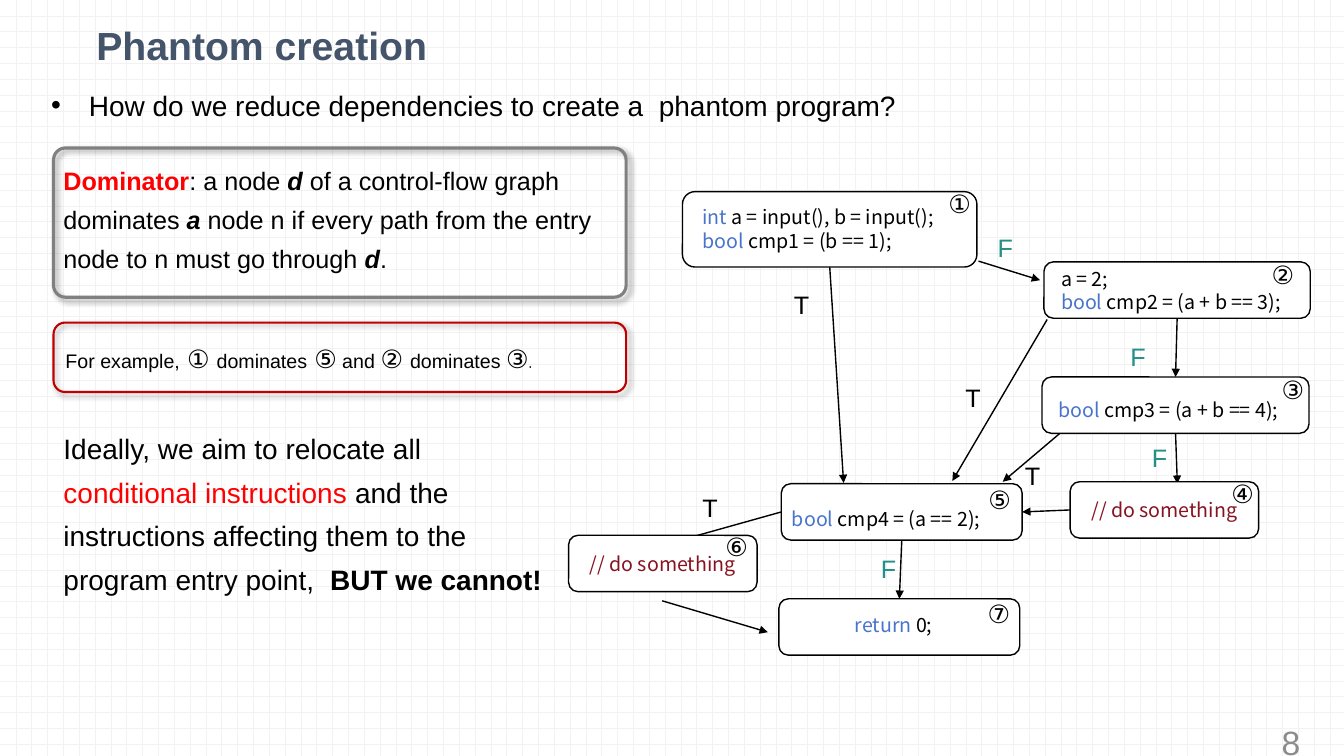
import pptx
import pptx.dml.color
import pptx.enum.dml
import pptx.enum.shapes
import pptx.enum.text
import pptx.oxml
import pptx.oxml.ns
import pptx.util

Cm, Pt = pptx.util.Cm, pptx.util.Pt
ALIGN = pptx.enum.text.PP_ALIGN
NAMESPACE = pptx.oxml.ns.nsdecls("a")
COLORS = {
    "black": "000000", "white": "FFFFFF", "grid": "F2F2F2", "title": "44546A",
    "number": "8C8C8C", "frame": "808080", "crimson": "C00000", "red": "FF0000",
    "keyword": "4874CB", "comment": "851321", "false": "249087",
}
SIDES = {"top": 0, "left": 1, "bottom": 2, "right": 3}
CODE = "Noto Sans CJK SC"


def color(name):
    return pptx.dml.color.RGBColor.from_string(COLORS[name])


class SlideBuilder:
    def __init__(self, page):
        self.page = page
        self.nodes = {}

    def background(self):
        fill = self.page.background.fill
        fill.patterned()
        fill.pattern = pptx.enum.dml.MSO_PATTERN.DOTTED_GRID
        fill.fore_color.rgb = color("grid")
        fill.back_color.rgb = color("white")

    def set_lines(self, frame, lines, size, font="Arial", align=ALIGN.LEFT, spaced=False):
        """Each line is a list of (text, style) spans."""
        for index, spans in enumerate(lines):
            para = frame.paragraphs[0] if index == 0 else frame.add_paragraph()
            para.alignment = align
            if spaced:
                para.line_spacing = 1.3
                para.space_before = Pt(6)
            for text, style in spans:
                span = para.add_run()
                span.text = text
                span.font.name = style.get("font", font)
                span.font.size = Pt(style.get("size", size))
                span.font.bold = style.get("bold", False)
                span.font.italic = style.get("italic", False)
                span.font.color.rgb = color(style.get("color", "black"))

    def text(self, place, lines, size, grow=True, **style):
        box = self.page.shapes.add_textbox(*map(Cm, place))
        frame = box.text_frame
        frame.word_wrap = True
        if grow:
            frame.auto_size = pptx.enum.text.MSO_AUTO_SIZE.SHAPE_TO_FIT_TEXT
        self.set_lines(frame, lines, size, **style)
        return box

    def bullet(self, box, indent):
        properties = box.element.find(".//" + pptx.oxml.ns.qn("a:pPr"))
        properties.set("marL", str(Cm(indent)))
        properties.set("indent", str(-Cm(indent)))
        properties.append(pptx.oxml.parse_xml(f'<a:buFont {NAMESPACE} typeface="Arial"/>'))
        properties.append(pptx.oxml.parse_xml(f'<a:buChar {NAMESPACE} char="•"/>'))

    def rounded(self, place, line, width, fill=None, corner=0.1667):
        box = self.page.shapes.add_shape(
            pptx.enum.shapes.MSO_SHAPE.ROUNDED_RECTANGLE, *map(Cm, place))
        box.adjustments[0] = corner
        box.shadow.inherit = False
        box.line.color.rgb = color(line)
        box.line.width = Pt(width)
        if fill:
            box.fill.solid()
            box.fill.fore_color.rgb = color(fill)
        else:
            box.fill.background()
        return box

    def shadow(self, box):
        effects = box.element.spPr.find(pptx.oxml.ns.qn("a:effectLst"))
        effects.append(pptx.oxml.parse_xml(
            f'<a:outerShdw {NAMESPACE} blurRad="{Pt(4)}" dist="{Pt(3)}" dir="2700000" '
            f'algn="tl" rotWithShape="0"><a:srgbClr val="{COLORS["black"]}">'
            '<a:alpha val="40000"/></a:srgbClr></a:outerShdw>'))

    def node(self, number, place, lines, text_place, badge, align):
        box = self.rounded(place, "black", 1, "white")
        self.nodes[number] = box
        if text_place:
            self.text(text_place, lines, 14, font=CODE, align=align)
        else:
            box.text_frame.vertical_anchor = pptx.enum.text.MSO_ANCHOR.MIDDLE
            self.set_lines(box.text_frame, lines, 14, CODE, align)
        self.text((*badge, 1.09, 1.02), [[("①②③④⑤⑥⑦"[number - 1], {})]], 18)

    def arrow(self, start, end):
        """An end is an (x, y) point or a (node number, side) pair."""
        joined = [point[1] in SIDES for point in (start, end)]
        begin, finish = [(0, 0) if fixed else point
                         for fixed, point in zip(joined, (start, end))]
        line = self.page.shapes.add_connector(
            pptx.enum.shapes.MSO_CONNECTOR.STRAIGHT, *map(Cm, (*begin, *finish)))
        if joined[0]:
            line.begin_connect(self.nodes[start[0]], SIDES[start[1]])
        if joined[1]:
            line.end_connect(self.nodes[end[0]], SIDES[end[1]])
        line.line.color.rgb = color("black")
        line.line.width = Pt(1)
        properties = line.element.spPr
        properties.find(pptx.oxml.ns.qn("a:ln")).append(
            pptx.oxml.parse_xml(f'<a:tailEnd {NAMESPACE} type="triangle"/>'))
        properties.append(pptx.oxml.parse_xml(f"<a:effectLst {NAMESPACE}/>"))
        # Arrows lie behind the nodes
        self.nodes[1].element.addprevious(line.element)


KEYWORD, COMMENT = {"color": "keyword"}, {"color": "comment"}
BOLD, TERM, LARGE = {"bold": True}, {"bold": True, "italic": True}, {"size": 18}
DO_SOMETHING = [[("// do something", COMMENT)]]

# number, box, code lines, text box (None: inside the node), badge corner, alignment
NODES = [
    (1, (17.2, 4.83, 7.42, 1.9),
     [[("int", KEYWORD), (" a = input(), b = input();", {})],
      [("bool", KEYWORD), (" cmp1 = (b == 1);", {})]],
     (17.45, 5.05, 6.91, 1.45), (23.65, 4.62), ALIGN.LEFT),
    (2, (26.31, 6.6, 6.71, 1.42),
     [[("a = 2;", {})], [("bool", KEYWORD), (" cmp2 = (a + b == 3);", {})]],
     (26.49, 6.6, 6.53, 1.02), (31.8, 6.4), ALIGN.LEFT),
    (3, (26.26, 9.5, 6.73, 1.42), [[("bool ", KEYWORD), ("cmp3 = (a + b == 4);", {})]],
     (26.42, 9.91, 7.21, 0.86), (32.05, 9.3), ALIGN.LEFT),
    (4, (26.97, 12.14, 4.75, 1.42), DO_SOMETHING, None, (30.78, 11.94), ALIGN.CENTER),
    (5, (19.69, 12.19, 6.07, 1.42), [[("bool", KEYWORD), (" cmp4 = (a == 2);", {})]],
     (19.71, 12.65, 5.66, 0.86), (24.66, 12.07), ALIGN.LEFT),
    (7, (19.63, 15.09, 6.07, 1.42), [[("return ", KEYWORD), ("0;", {})]],
     (19.69, 15.32, 5.66, 0.86), (24.64, 14.96), ALIGN.CENTER),
    (6, (14.33, 13.49, 4.75, 1.42), DO_SOMETHING, None, (18.03, 13.26), ALIGN.CENTER),
]
ARROWS = [
    ((1, "bottom"), (21.26, 12.17)),
    ((5, "bottom"), (7, "top")),
    ((24.66, 6.58), (26.21, 7.06)),
    ((26.39, 8.05), (24, 12.12)),
    ((5, "left"), (16.69, 13.74)),
    ((16.69, 15.14), (19.35, 15.93)),
    ((2, "bottom"), (3, "top")),
    ((3, "bottom"), (29.67, 12.19)),
    ((26.77, 10.87), (25.27, 12.14)),
    ((4, "left"), (5, "right")),
]
BRANCHES = {
    "T": [(19.76, 7.16), (17.45, 12.27), (24.08, 9.5), (25.58, 11.48)],
    "F": [(24.89, 5.74), (21.95, 13.82), (28.24, 8.48), (28.78, 11.02)],
}


def main():
    deck = pptx.Presentation()
    deck.slide_width, deck.slide_height = Cm(33.87), Cm(19.05)
    builder = SlideBuilder(deck.slides.add_slide(deck.slide_layouts[6]))
    builder.background()

    # Page number, title and question
    number = builder.text((25.4, 18.19, 7.62, 1.02), [[("8", {"color": "number"})]],
                          24, grow=False, align=ALIGN.RIGHT)
    number.text_frame.vertical_anchor = pptx.enum.text.MSO_ANCHOR.MIDDLE
    builder.text((2.18, 0.41, 26.97, 1.45),
                 [[("Phantom creation", {"color": "title", "bold": True})]], 28)
    question = builder.text(
        (1.04, 1.85, 31.32, 1.37),
        [[("How do we reduce dependencies to create a  phantom program?", {})]],
        20, spaced=True)
    builder.bullet(question, 0.95)

    # Definition
    builder.shadow(builder.rounded((1.35, 3.73, 14.43, 3.76), "frame", 2.25, corner=0.08))
    builder.text((1.35, 3.81, 14.63, 3.25), [[
        ("Dominator", {"color": "red", "bold": True}), (": a node ", {}), ("d ", TERM),
        ("of a control-flow graph dominates ", {}), ("a", TERM),
        (" node n if every path from the entry node to n must go through ", {}),
        ("d", TERM), (".", {})]], 18, spaced=True)

    # Control-flow graph
    for node in NODES:
        builder.node(*node)
    for start, end in ARROWS:
        builder.arrow(start, end)
    for letter, corners in BRANCHES.items():
        style = {"color": "false" if letter == "F" else "black"}
        for corner in corners:
            builder.text((*corner, 1.14, 1.02), [[(letter, style)]], 18)

    # Goal
    builder.text((1.35, 10.49, 12.67, 8.31), [[
        ("Ideally, we aim to relocate all ", {}),
        ("conditional instructions", {"color": "red"}),
        (" and the instructions affecting them to the program entry point,  ", {}),
        ("BUT we cannot!", BOLD)]], 20, grow=False, spaced=True)

    # Example
    builder.text((1.4, 8.31, 14.12, 1.24), [[
        ("For example,", {}), (" ① ", LARGE), ("dominates", {}), (" ⑤", LARGE),
        (" and ", {}), ("② ", LARGE), ("dominates ", {}), ("③", LARGE),
        (".", {"font": "Quicksand"})]], 14, spaced=True)
    builder.shadow(builder.rounded((1.35, 8.13, 14.43, 1.75), "crimson", 1.5))

    deck.save("out.pptx")


if __name__ == "__main__":
    main()
